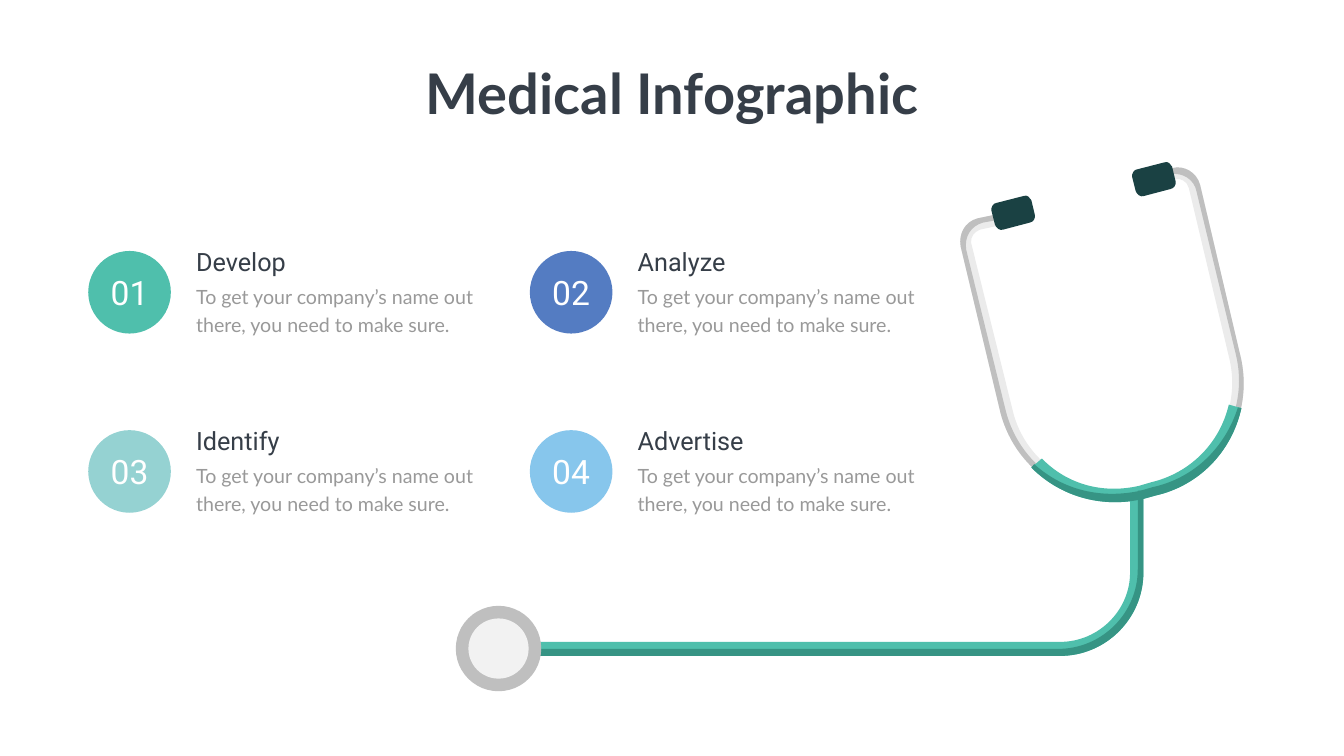
from lxml import etree
from pptx import Presentation
from pptx.dml.color import RGBColor
from pptx.enum.shapes import MSO_SHAPE as Form
from pptx.enum.text import MSO_AUTO_SIZE as Fit, PP_ALIGN as Align
from pptx.oxml.ns import qn
from pptx.util import Pt

rgb = RGBColor.from_string
DARK, GREEN, SHADE, GREY, TIP = "363E48", "4FBFAC", "369484", "BFBFBF", "1A4143"

deck = Presentation()
deck.slide_width, deck.slide_height = Pt(1919.5), Pt(1080)
slide = deck.slides.add_slide(deck.slide_layouts[6])
shapes = slide.shapes


def paint(shape, color):
    shape.shadow.inherit = False
    shape.fill.solid()
    shape.fill.fore_color.rgb = rgb(color)
    shape.line.fill.background()


def write(text, x, y, w, h, size, color, face="Roboto", bold=False,
          align=Align.LEFT, lead=None, wrap=True):
    box = shapes.add_textbox(Pt(x), Pt(y), Pt(w), Pt(h))
    frame = box.text_frame
    frame.word_wrap = wrap
    frame.auto_size = Fit.SHAPE_TO_FIT_TEXT
    para = frame.paragraphs[0]
    para.alignment = align
    if lead:
        para.line_spacing = Pt(lead)
    run = para.add_run()
    run.text = text
    font = run.font
    font.name, font.size, font.bold = face, Pt(size), bold
    font.color.rgb = rgb(color)


# Outlines in points: a pair is a corner, six numbers are a Bezier curve
tube = [(1514, 937), (733, 937), (733, 917), (1514, 917),
        (1569, 917, 1614, 872, 1614, 818), (1614, 701), (1633, 701),
        (1633, 818), (1633, 883, 1580, 937, 1514, 937)]
tube_dark = [(1625, 701), (1625, 813), (1625, 876, 1574, 927, 1511, 927),
             (760, 927), (760, 917), (733, 917), (733, 937), (1514, 937),
             (1580, 937, 1633, 883, 1633, 818), (1633, 701)]
frame = [(1650, 707), (1630, 711), (1542, 732, 1452, 678, 1429, 590),
         (1372, 352), (1369, 334, 1378, 317, 1396, 312), (1420, 307),
         (1423, 323), (1400, 328), (1391, 331, 1386, 339, 1387, 347),
         (1446, 585), (1464, 665, 1547, 715, 1627, 696), (1646, 690),
         (1727, 672, 1776, 590, 1755, 509), (1698, 269),
         (1696, 259, 1686, 254, 1678, 256), (1659, 261), (1654, 245),
         (1675, 240), (1691, 236, 1709, 246, 1714, 264), (1771, 506),
         (1794, 596, 1740, 686, 1650, 707)]
frame_dark = [(1675, 240), (1654, 245), (1656, 253), (1672, 249),
              (1688, 246, 1706, 256, 1709, 274), (1765, 506),
              (1786, 591, 1733, 678, 1648, 698), (1629, 703),
              (1544, 724, 1457, 672, 1436, 585), (1380, 357),
              (1377, 339, 1386, 323, 1404, 318), (1421, 315), (1420, 307),
              (1396, 312), (1378, 317, 1369, 334, 1372, 352), (1429, 590),
              (1452, 678, 1542, 732, 1630, 711), (1650, 707),
              (1740, 686, 1794, 596, 1771, 506), (1714, 264),
              (1709, 246, 1691, 236, 1675, 240)]
yoke = [(1650, 708), (1632, 713), (1574, 726, 1515, 710, 1473, 668),
        (1488, 655), (1524, 692, 1575, 706, 1627, 694), (1644, 689),
        (1699, 676, 1742, 634, 1755, 578), (1773, 583),
        (1759, 646, 1712, 694, 1650, 708)]
yoke_dark = [(1646, 696), (1629, 701), (1574, 713, 1519, 701, 1477, 663),
             (1473, 668), (1515, 710, 1574, 726, 1632, 713), (1650, 708),
             (1712, 694, 1759, 646, 1773, 583), (1768, 582),
             (1750, 639, 1706, 683, 1646, 696)]
tip = [(56, 40), (18, 50), (13, 52, 8, 48, 6, 43), (1, 23),
       (0, 18, 4, 12, 8, 12), (47, 2), (52, 0, 56, 4, 58, 8), (63, 29),
       (64, 34, 61, 39, 56, 40)]

# Stethoscope, back to front
parts = [(tube, GREEN, 0, 0), (frame, "EBEBEB", 0, 0), (frame_dark, GREY, 0, 0),
         (yoke, GREEN, 0, 0), (yoke_dark, SHADE, 0, 0),
         (tip, TIP, 1616, 230), (tip, TIP, 1415, 278), (tube_dark, SHADE, 0, 0)]
for outline, color, dx, dy in parts:
    dots = [(Pt(seg[i] + dx), Pt(seg[i + 1] + dy))
            for seg in outline for i in range(0, len(seg), 2)]
    pen = shapes.build_freeform(*dots[0])
    pen.add_line_segments(dots[1:], close=True)
    shape = pen.convert_to_shape()
    # Join each run of three points into one curve
    lines = iter(list(shape._element.iter(qn("a:lnTo"))))
    for seg in outline[1:]:
        line = next(lines)
        if len(seg) == 6:
            curve = etree.Element(qn("a:cubicBezTo"))
            line.addprevious(curve)
            for step in (line, next(lines), next(lines)):
                curve.append(step[0])
                step.getparent().remove(step)
    paint(shape, color)

# Chest piece: two discs on one centre
for size, color in ((122, GREY), (86, "F2F2F2")):
    disc = shapes.add_shape(Form.OVAL, Pt(712 - size / 2), Pt(926.5 - size / 2),
                            Pt(size), Pt(size))
    paint(disc, color)

# Four numbered items in a two by two grid
items = [("Develop", GREEN), ("Analyze", "547CC2"),
         ("Identify", "95D2D2"), ("Advertise", "87C6EC")]
for i, (name, color) in enumerate(items):
    x = 126 + i % 2 * 630.7
    y = 358.5 + i // 2 * 256
    paint(shapes.add_shape(Form.OVAL, Pt(x), Pt(y), Pt(118), Pt(118)), color)
    write(f"{i + 1:02}", x + 23.4, y + 26, 71.2, 65.5, 48, "FFFFFF",
          align=Align.CENTER)
    write("To get your company’s name out there, you need to make sure.",
          x + 147, y + 37.4, 440.6, 85.7, 28, "999999", face="Lato", lead=40.8)
    write(name, x + 147, y - 9.8, 412, 51, 36, DARK)

# Title
write("Medical Infographic", 593, 80.6, 734, 104.4, 80, DARK, face="Lato",
      bold=True, align=Align.CENTER, wrap=False)

deck.save("out.pptx")
